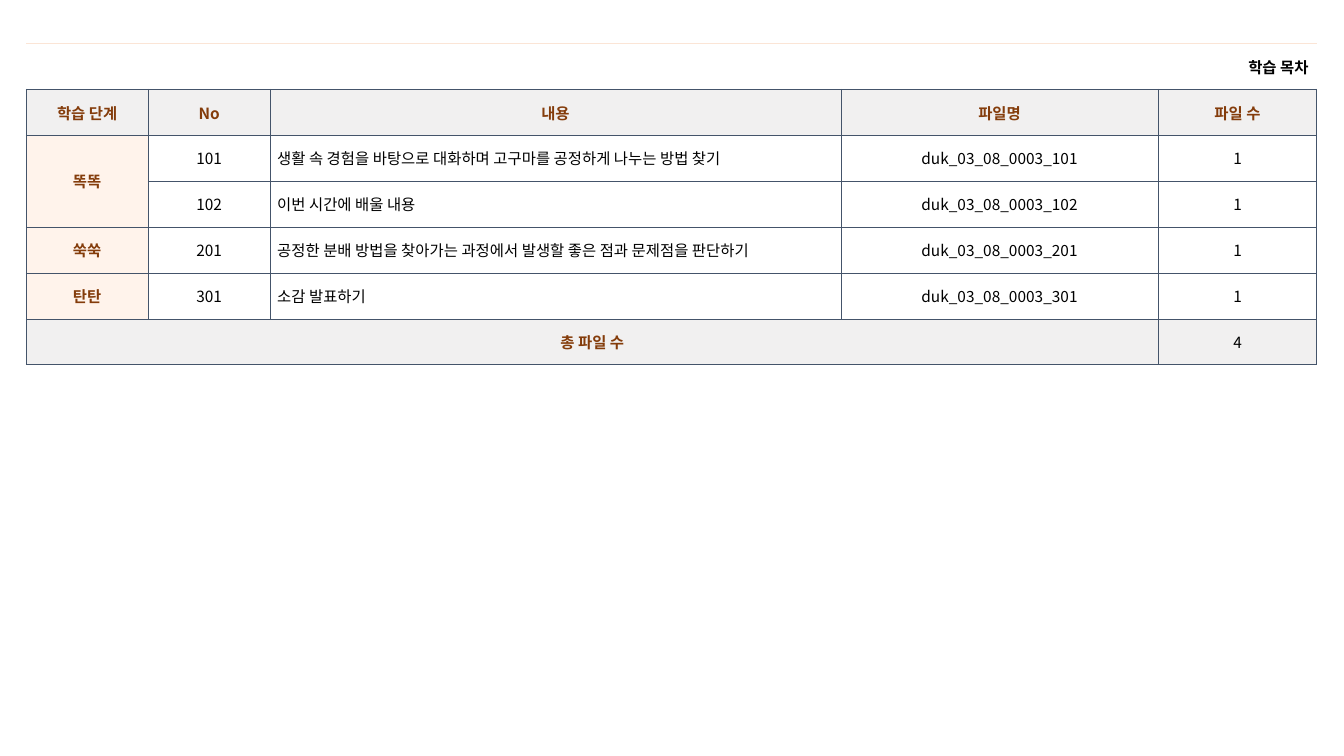
from lxml.etree import SubElement as Sub
from pptx import Presentation
from pptx.dml.color import RGBColor as RGB
from pptx.enum.text import MSO_ANCHOR as Anchor, PP_ALIGN as Align
from pptx.oxml.ns import qn
from pptx.util import Inches, Pt

FONT = "Noto Sans CJK KR"
BLACK, BROWN, SLATE, PEACH = "000000", "843C0B", "44546A", "FBE5D6"
GREY, CREAM, WHITE = "F1F0F0", "FFF3EB", "FFFFFF"
COLS = [1.21, 1.21, 5.66, 3.15, 1.57]
HEAD = ["학습 단계", "No", "내용", "파일명", "파일 수"]
STEPS = [
    ("똑똑", 101, "생활 속 경험을 바탕으로 대화하며 고구마를 공정하게 나누는 방법 찾기"),
    ("", 102, "이번 시간에 배울 내용"),
    ("쑥쑥", 201, "공정한 분배 방법을 찾아가는 과정에서 발생할 좋은 점과 문제점을 판단하기"),
    ("탄탄", 301, "소감 발표하기"),
]


def color(code):
    return RGB.from_string(code)


def write(cell, text, tint=BLACK, bold=False, align=Align.CENTER, inset=0.07):
    cell.vertical_anchor = Anchor.MIDDLE
    cell.margin_left = cell.margin_right = Inches(inset)
    cell.margin_top = cell.margin_bottom = Inches(0.05)
    para = cell.text_frame.paragraphs[0]
    para.alignment = align
    run = para.add_run()
    run.text = text
    font = run.font
    font.size, font.bold, font.name = Pt(11), bold, FONT
    font.color.rgb = color(tint)
    Sub(font._element, qn("a:ea"), typeface=FONT)


def edge(cell, side, tint, width=0.5):
    """Draw one cell border; a tint of None leaves it open."""
    line = Sub(cell._tc.get_or_add_tcPr(), qn(f"a:ln{side}"), w=str(Pt(width)))
    if tint:
        fill = Sub(line, qn("a:solidFill"))
        Sub(fill, qn("a:srgbClr"), val=tint)
    else:
        Sub(line, qn("a:noFill"))


def paint(cell, tint):
    cell.fill.solid()
    cell.fill.fore_color.rgb = color(tint)


def frame(table):
    """Set all borders, with the title row open at its sides."""
    for num, row in enumerate(table.rows):
        for cell in row.cells:
            for side in "LR":
                edge(cell, side, SLATE if num else None)
            edge(cell, "T", SLATE if num else PEACH, 0.5 if num else 0.25)
            edge(cell, "B", SLATE)


def add_grid(slide):
    size = len(STEPS) + 3
    table = slide.shapes.add_table(
        size, len(COLS), Inches(0.26), Inches(0.43), Inches(12.81), Inches(3.19)
    ).table
    table.first_row = table.horz_banding = False
    for col, width in zip(table.columns, COLS):
        col.width = Inches(width)
    frame(table)
    return table


def fill_steps(table):
    for row, (step, num, topic) in enumerate(STEPS, 2):
        label, *cells = table.rows[row].cells
        paint(label, CREAM)
        if step:
            write(label, step, tint=BROWN, bold=True)
        texts = [str(num), topic, f"duk_03_08_0003_{num}", "1"]
        for cell, text in zip(cells, texts):
            paint(cell, WHITE)
            write(cell, text, align=Align.LEFT if text == topic else Align.CENTER)
    table.cell(2, 0).merge(table.cell(3, 0))


def main():
    deck = Presentation()
    deck.slide_width, deck.slide_height = Inches(13.33), Inches(7.5)
    slide = deck.slides.add_slide(deck.slide_layouts[6])
    table = add_grid(slide)

    for cell in table.rows[0].cells:
        cell.fill.background()
    title = table.cell(0, 0)
    title.merge(table.cell(0, 4))
    write(title, "학습 목차", bold=True, align=Align.RIGHT, inset=0.08)

    for cell, text in zip(table.rows[1].cells, HEAD):
        paint(cell, GREY)
        write(cell, text, tint=BROWN, bold=True)

    fill_steps(table)

    last = len(table.rows) - 1
    for cell in table.rows[last].cells:
        paint(cell, GREY)
    total = table.cell(last, 0)
    total.merge(table.cell(last, 3))
    write(total, "총 파일 수", tint=BROWN, bold=True)
    write(table.cell(last, 4), str(len(STEPS)))

    deck.save("out.pptx")


if __name__ == "__main__":
    main()
